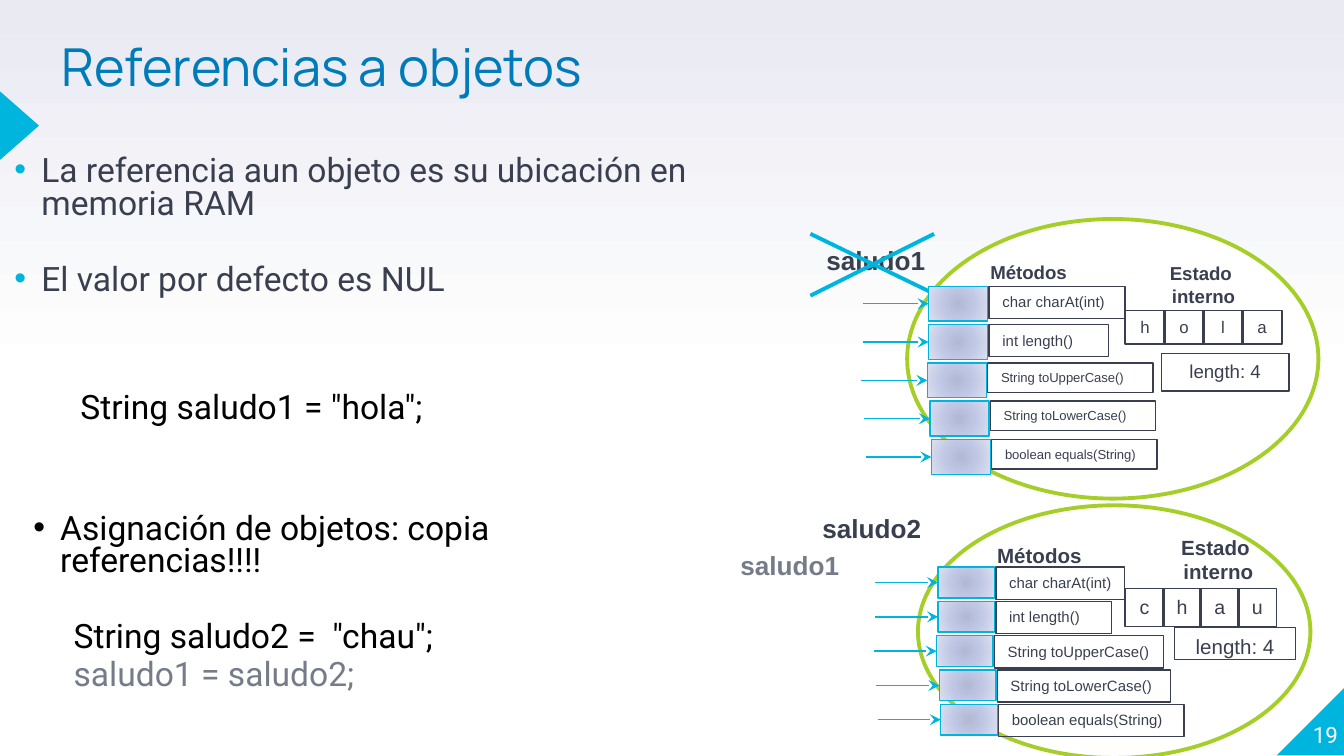
from lxml import etree
from pptx import Presentation
from pptx.dml.color import RGBColor
from pptx.enum.shapes import MSO_CONNECTOR, MSO_SHAPE
from pptx.enum.text import MSO_ANCHOR, PP_ALIGN
from pptx.oxml.ns import qn
from pptx.util import Inches, Pt

RECT, ELLIPSE = MSO_SHAPE.RECTANGLE, MSO_SHAPE.OVAL
TRIANGLE, CORNER = MSO_SHAPE.ISOSCELES_TRIANGLE, MSO_SHAPE.RIGHT_TRIANGLE
STRAIGHT = MSO_CONNECTOR.STRAIGHT
LEFT, CENTER = PP_ALIGN.LEFT, PP_ALIGN.CENTER
TOP, MIDDLE = MSO_ANCHOR.TOP, MSO_ANCHOR.MIDDLE

CYAN = RGBColor(0x00, 0xB5, 0xDD)
BLUE = RGBColor(0x00, 0x7B, 0xB9)
GREEN = RGBColor(0xA6, 0xCE, 0x28)
INK = RGBColor(0x3A, 0x3F, 0x50)
GREY = RGBColor(0x75, 0x7B, 0x89)
BLACK = RGBColor(0, 0, 0)
WHITE = RGBColor(0xFF, 0xFF, 0xFF)
MIST = RGBColor(0xE9, 0xEA, 0xF2)
PORT_STOPS = [(0, RGBColor(0xB2, 0xB8, 0xD2)), (45, RGBColor(0xBF, 0xC7, 0xE5)),
              (100, RGBColor(0xDC, 0xE0, 0xF0))]
PAGE_STOPS = [(0, WHITE), (50, WHITE), (100, MIST)]

METHODS = ["char charAt(int)", "int length()", "String toUpperCase()",
           "String toLowerCase()", "boolean equals(String)"]
ROW_SHIFTS = [0, 0, -0.01, 0.01, 0.02]

HOLA = dict(
    ellipse=(6.75, 1.63, 3.06, 2.08), letters="hola", letter_size=9,
    letter_box=(8.37, 2.31, 0.3, 0.25), letter_step=0.29,
    state=(8.21, 1.9, 1.45, 0.45), length=(8.64, 2.63, 0.95, 0.28),
    heading=(7.27, 1.89, 1.45, 0.28), size=10,
    port=(6.91, 2.13, 0.44, 0.26), last_port=3.27, method_gap=0.45, arrow=0.49,
    widths=[1.01, 0.89, 1.23, 1.23, 1.23],
    heights=[0.24, 0.24, 0.22, 0.22, 0.22], method_sizes=[8, 8, 7, 7, 7])
CHAU = dict(
    ellipse=(6.83, 3.76, 2.92, 1.88), letters="chau", letter_size=10.5,
    letter_box=(8.37, 4.38, 0.29, 0.28), letter_step=0.28,
    state=(8.28, 3.93, 1.53, 0.47), length=(8.74, 4.67, 0.9, 0.24),
    heading=(7.32, 3.99, 1.39, 0.24), size=11,
    port=(6.98, 4.22, 0.42, 0.23), last_port=5.24, method_gap=0.43, arrow=0.47,
    widths=[0.96, 0.86, 1.26, 1.29, 1.38],
    heights=[0.24] * 5, method_sizes=[8] * 5)

LABELS = [("saludo1", 6.05, 1.77, INK), ("saludo2", 6.02, 3.76, INK),
          ("saludo1", 5.41, 4.04, GREY)]
CROSS = [((6.03, 2.2), (6.95, 1.74)), ((6.03, 1.74), (6.98, 2.2))]

NOTES = [
    ((0.01, 1.12, 5.66, 1.18), [
        ("La referencia aun objeto es su ubicación en memoria RAM", INK, CYAN, 3.3),
        ("El valor por defecto es NUL", INK, CYAN, 23.5)]),
    ((0.15, 3.78, 5, 1.44), [
        ("Asignación de objetos: copia referencias!!!!", BLACK, BLACK, 3.3),
        ("String saludo2 =  \"chau\";", BLACK, None, 23.2),
        ("saludo1 = saludo2;", GREY, None, 3)]),
    ((0.2, 2.88, 3.29, 0.35), [("String saludo1 = \"hola\";", BLACK, None, 3)]),
]


def inches(values):
    return [Inches(value) for value in values]


def set_gradient(fill, properties, stops, angle=None):
    fill.solid()
    gradient = etree.Element(qn("a:gradFill"), rotWithShape="1")
    stop_list = etree.SubElement(gradient, qn("a:gsLst"))
    for position, color in stops:
        stop = etree.SubElement(stop_list, qn("a:gs"), pos=str(position * 1000))
        etree.SubElement(stop, qn("a:srgbClr"), val=str(color))
    if angle is not None:
        etree.SubElement(gradient, qn("a:lin"), ang=str(angle * 60000), scaled="0")
    else:
        center = etree.SubElement(gradient, qn("a:path"), {"path": "circle"})
        etree.SubElement(center, qn("a:fillToRect"), {side: "50000" for side in "ltrb"})
    properties.replace(properties.find(qn("a:solidFill")), gradient)


def write(shape, text, size, color, font="Arial", bold=False, align=LEFT, anchor=TOP):
    frame = shape.text_frame
    frame.word_wrap = True
    frame.vertical_anchor = anchor
    frame.text = text
    for paragraph in frame.paragraphs:
        paragraph.alignment = align
        for run in paragraph.runs:
            run.font.size, run.font.name, run.font.bold = Pt(size), font, bold
            run.font.color.rgb = color
    return frame


def add_text(shapes, box, *args, **kwargs):
    return write(shapes.add_textbox(*inches(box)), *args, **kwargs)


def add_figure(shapes, kind, box, fill=None, line=None, width=0.75):
    figure = shapes.add_shape(kind, *inches(box))
    figure.shadow.inherit = False
    if fill is None:
        figure.fill.background()
    else:
        figure.fill.solid()
        figure.fill.fore_color.rgb = fill
    if line is None:
        figure.line.fill.background()
    else:
        figure.line.color.rgb = line
        figure.line.width = Pt(width)
    return figure


def add_line(shapes, start, end, width, arrow=False):
    connector = shapes.add_connector(STRAIGHT, *inches(start + end))
    connector.line.color.rgb = CYAN
    connector.line.width = Pt(width)
    properties = connector.element.spPr
    if arrow:
        etree.SubElement(properties.find(qn("a:ln")), qn("a:tailEnd"), type="stealth")
    etree.SubElement(properties, qn("a:effectLst"))


def add_note(shapes, box, items):
    frame = add_text(shapes, box, "\n".join(item[0] for item in items), 18, INK, "Roboto")
    for paragraph, (_, color, bullet, before) in zip(frame.paragraphs, items):
        paragraph.runs[0].font.color.rgb = color
        paragraph.line_spacing = 0.8
        paragraph.space_before = Pt(before)
        properties = paragraph._p.get_or_add_pPr()
        properties.set("marL", str(Inches(0.2 if bullet else 0.3)))
        properties.set("indent", str(Inches(-0.2 if bullet else 0)))
        if bullet is not None:
            bullet_color = etree.SubElement(properties, qn("a:buClr"))
            etree.SubElement(bullet_color, qn("a:srgbClr"), val=str(bullet))
            etree.SubElement(properties, qn("a:buFont"), typeface="Arial")
            etree.SubElement(properties, qn("a:buChar"), char="•")


def add_object(shapes, saludo):
    group = shapes.add_group_shape().shapes
    size = saludo["size"]
    add_figure(group, ELLIPSE, saludo["ellipse"], WHITE, GREEN, 2.08)
    left, top, width, height = saludo["letter_box"]
    for i, letter in enumerate(saludo["letters"]):
        box = (left + i * saludo["letter_step"], top, width, height)
        cell = add_figure(group, RECT, box, line=INK)
        write(cell, letter, saludo["letter_size"], INK, align=CENTER)
    add_text(group, saludo["state"], "Estado\n interno", size, INK, bold=True, align=CENTER)
    length = add_figure(group, RECT, saludo["length"], line=INK)
    write(length, "length: 4", size, INK, align=CENTER)
    add_text(group, saludo["heading"], "Métodos", size, INK, bold=True)

    left, top, width, height = saludo["port"]
    row_step = (saludo["last_port"] - top) / (len(METHODS) - 1)
    rows = zip(METHODS, ROW_SHIFTS, saludo["widths"], saludo["heights"], saludo["method_sizes"])
    for i, (method, shift, method_width, method_height, method_size) in enumerate(rows):
        x, y = left + shift, top + i * row_step
        box = (x + saludo["method_gap"], y, method_width, method_height)
        write(add_figure(group, RECT, box, line=INK), method, method_size, INK)
        port = add_figure(group, RECT, (x, y, width, height), line=CYAN)
        set_gradient(port.fill, port.element.spPr, PORT_STOPS)
        middle = y + height / 2
        add_line(group, (x - saludo["arrow"], middle), (x, middle), 0.75, arrow=True)


deck = Presentation()
deck.slide_width = Inches(10)
deck.slide_height = deck.slide_width * 9 // 16
slide = deck.slides.add_slide(deck.slide_layouts[6])
shapes = slide.shapes
background = slide.background.fill
background.solid()
set_gradient(background, slide.element.find(".//" + qn("p:bgPr")), PAGE_STOPS, angle=270)

corner = add_figure(shapes, CORNER, (9.5, 5.11, 0.51, 0.51), CYAN)
corner.element.spPr.xfrm.set("flipH", "1")
add_figure(shapes, TRIANGLE, (-0.11, 0.79, 0.51, 0.29), CYAN).rotation = 90
title = add_text(shapes, (0.36, -0.06, 6.17, 1.18), "Referencias a objetos", 28, BLUE,
                 "Manrope", anchor=MIDDLE)
title.paragraphs[0].line_spacing = 0.8
add_text(shapes, (9.67, 5.21, 0.5, 0.51), "19", 12, WHITE, "Roboto", anchor=MIDDLE)

add_object(shapes, CHAU)
for label, x, y, color in LABELS:
    add_text(shapes, (x, y, 1.39, 0.34), label, 14, color, bold=True)
cross = shapes.add_group_shape().shapes
for start, end in CROSS:
    add_line(cross, start, end, 2.08)
add_object(shapes, HOLA)
for box, items in NOTES:
    add_note(shapes, box, items)

deck.save("out.pptx")
